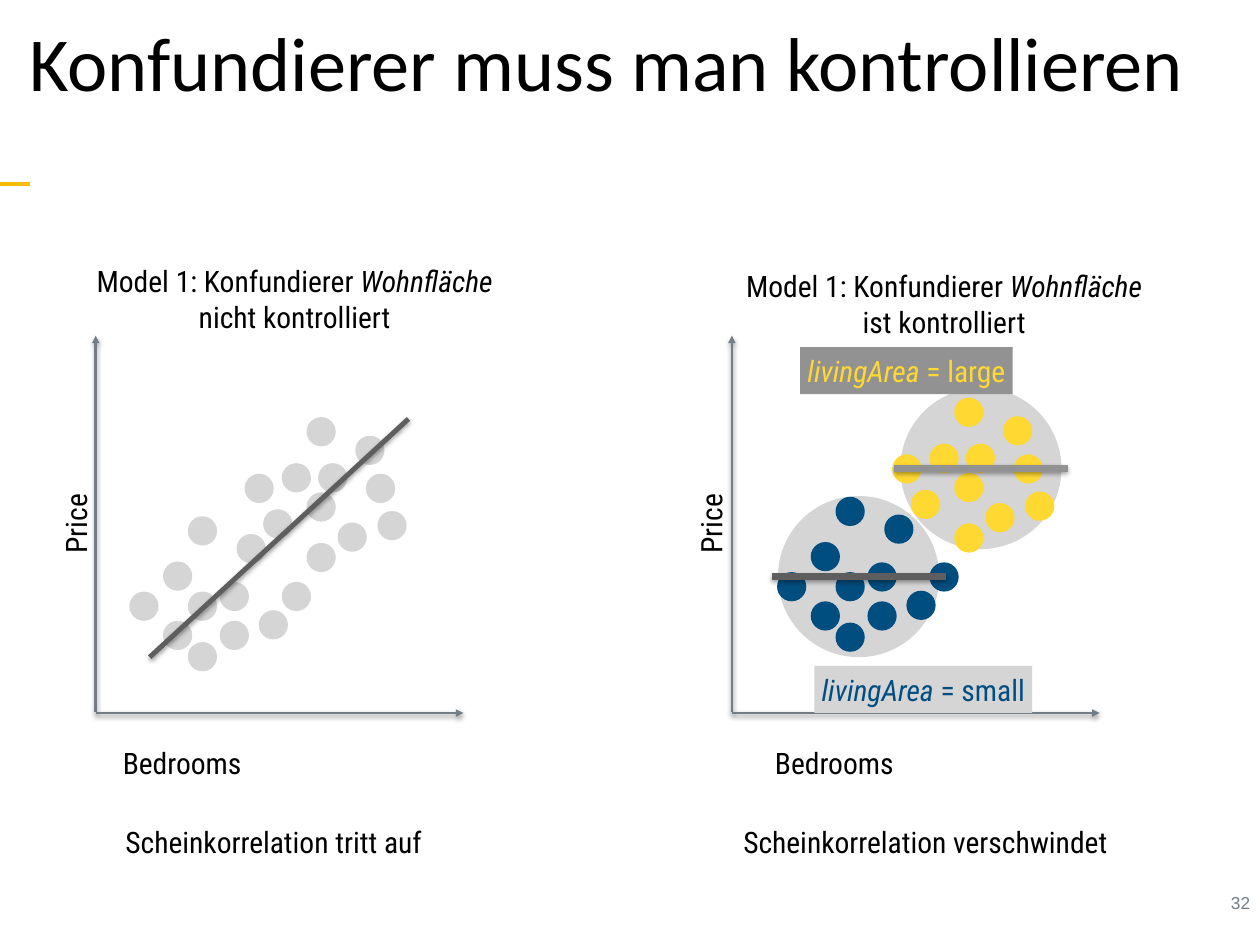
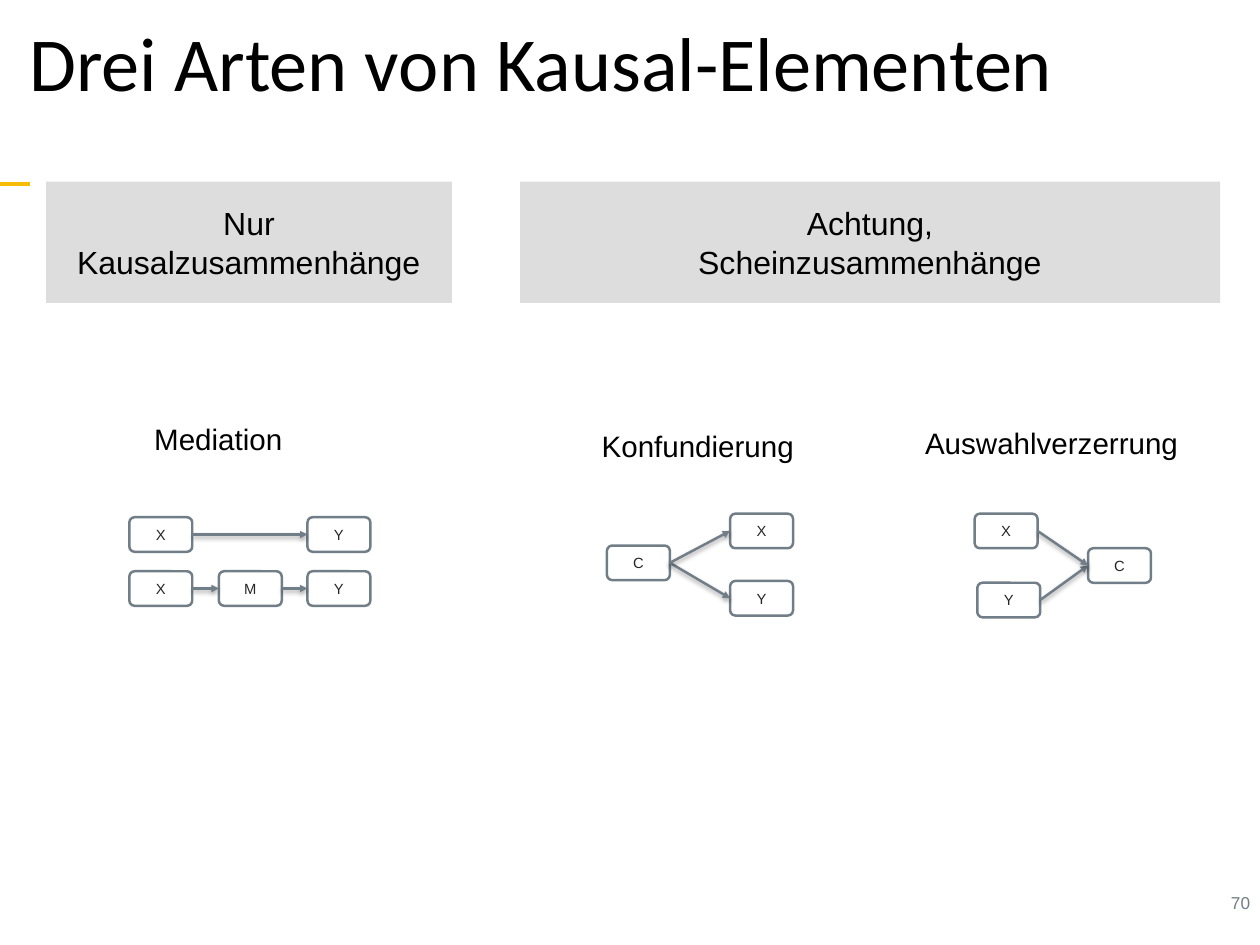
from dataclasses import dataclass
from typing import Any

from lxml.etree import SubElement as Sub
from pptx import Presentation
from pptx.dml.color import RGBColor as Rgb
from pptx.enum.shapes import MSO_CONNECTOR as Conn, MSO_SHAPE as Kind
from pptx.enum.text import MSO_ANCHOR as Anc, MSO_AUTO_SIZE as Fit, PP_ALIGN as Al
from pptx.oxml.ns import qn
from pptx.util import Emu, Pt

SCALE = 9144
LEFT, RIGHT = 1, 3
Box = tuple[int, int, int, int]
Spot = tuple[int, int]
Runs = list[tuple[str, bool]]


@dataclass(frozen=True)
class Theme:
    black: str = "000000"
    white: str = "FFFFFF"
    ink: str = "262626"
    slate: str = "717D87"
    gold: str = "F7BC05"
    band: str = "DDDDDD"
    pale: str = "D5D5D5"
    mid: str = "929292"
    dark: str = "5E5E5E"
    blue: str = "004D80"
    sun: str = "FFD932"
    sans: str = "Arial"
    head: str = "Calibri"
    slim: str = "Roboto Condensed"
    title: int = 62
    large: int = 26
    body: int = 24
    small: int = 14
    node: int = 12
    pad: int = 7


@dataclass(frozen=True)
class Style:
    face: str
    size: int
    color: str
    align: Any = Al.CENTER
    anchor: Any = Anc.TOP
    wrap: bool = False


@dataclass(frozen=True)
class Plot:
    left: int
    model: Spot
    state: str
    rooms: int
    price: int
    note: str
    foot: Box


@dataclass(frozen=True)
class Group:
    tag: str
    box: Box
    color: str
    fill: str
    halo: Box
    trend: Box
    tone: str
    dots: list[Spot]


@dataclass(frozen=True)
class Graph:
    name: str
    at: Box
    nodes: list[tuple[str, int, int]]
    links: list[tuple[int, int]]


T = Theme()
TITLE = Style(T.head, T.title, T.black, Al.LEFT, Anc.MIDDLE, True)
PAGE = Style(T.sans, T.small, T.slate, Al.RIGHT, wrap=True)
LABEL = Style(T.slim, T.body, T.black)
NAME = Style(T.sans, T.body, T.black, Al.LEFT)
BAND = Style(T.sans, T.large, T.black, anchor=Anc.MIDDLE, wrap=True)
NODE = Style(T.sans, T.node, T.ink, anchor=Anc.MIDDLE, wrap=True)

SHIFT = (731, -22)
DOT = 33
LOW = [(184, 701), (212, 725), (184, 634), (248, 657), (248, 701), (318, 657),
       (212, 668), (146, 668), (212, 583), (267, 603), (292, 689)]
HIGH = [(297, 575), (346, 613), (318, 523), (359, 523), (381, 590), (413, 535),
        (346, 556), (276, 535), (346, 471), (401, 492), (426, 577)]
PLOTS = [
    Plot(108, (100, 290), "nicht kontrolliert", 131, 43,
         "Scheinkorrelation tritt auf", (134, 923, 350, 53)),
    Plot(826, (833, 296), "ist kontrolliert", 867, 760,
         "Scheinkorrelation verschwindet", (831, 923, 427, 53)),
]
GROUPS = [
    Group("small", (919, 752, 246, 53), T.blue, T.pale, (878, 560, 182, 182),
          (871, 651, 1068, 651), T.dark, LOW),
    Group("large", (903, 392, 240, 53), T.sun, T.mid, (1016, 438, 182, 182),
          (1009, 529, 1205, 529), T.mid, HIGH),
]
GRAPHS = [
    Graph("Auswahlverzerrung", (1037, 473, 301, 52),
          [("X", 1100, 580), ("C", 1228, 619), ("Y", 1103, 658)], [(2, 1), (0, 1)]),
    Graph("Konfundierung", (672, 476, 232, 52),
          [("X", 824, 580), ("C", 685, 616), ("Y", 824, 656)], [(1, 2), (1, 0)]),
    Graph("Mediation", (167, 468, 160, 52),
          [("X", 146, 584), ("Y", 347, 584), ("X", 146, 645), ("M", 247, 645),
           ("Y", 347, 645)], [(0, 1), (2, 3), (3, 4)]),
]
BANDS = [("Achtung,\nScheinzusammenhänge", (587, 205, 790, 137)),
         ("Nur Kausalzusammenhänge", (52, 205, 458, 137))]


def px(*vals: int) -> list[Emu]:
    return [Emu(val * SCALE) for val in vals]


def put(item: Any, vals: dict[str, Any]) -> None:
    for key, val in vals.items():
        setattr(item, key, val)


def write(shape: Any, runs: Runs, style: Style, pad: int = T.pad) -> Any:
    frame = shape.text_frame
    sides = ("margin_left", "margin_top", "margin_right", "margin_bottom")
    put(frame, dict.fromkeys(sides, px(pad)[0]))
    put(frame, {"word_wrap": style.wrap, "vertical_anchor": style.anchor,
                "auto_size": Fit.NONE if style.wrap else Fit.SHAPE_TO_FIT_TEXT})
    par = frame.paragraphs[0]
    par.alignment = style.align
    for text, slant in runs:
        for num, line in enumerate(text.split("\n")):
            if num:
                par.add_line_break()
            if line:
                run = par.add_run()
                run.text = line
                put(run.font, {"name": style.face, "size": Pt(style.size),
                               "italic": slant})
                run.font.color.rgb = Rgb.from_string(style.color)
    return par


def label(slide: Any, box: Box, runs: Runs, style: Style, turn: int = 0) -> None:
    shape = slide.shapes.add_textbox(*px(*box))
    shape.rotation = turn
    write(shape, runs, style)


def form(slide: Any, kind: Any, box: Box, fill: str, edge: str = "") -> Any:
    shape = slide.shapes.add_shape(kind, *px(*box))
    shape.shadow.inherit = False
    shape.fill.solid()
    shape.fill.fore_color.rgb = Rgb.from_string(fill)
    if edge:
        shape.line.color.rgb = Rgb.from_string(edge)
        shape.line.width = Pt(2)
    else:
        shape.line.fill.background()
    return shape


def rule(slide: Any, ends: Box, color: str, width: int,
         arrow: bool = False, shade: bool = True) -> Any:
    line = slide.shapes.add_connector(Conn.STRAIGHT, *px(*ends))
    line.line.color.rgb = Rgb.from_string(color)
    line.line.width = Pt(width)
    props = line._element.spPr
    if arrow:
        Sub(props.find(qn("a:ln")), qn("a:tailEnd"), type="triangle")
    effect = Sub(props, qn("a:effectLst"))
    if shade:
        drop = Sub(effect, qn("a:outerShdw"), blurRad=str(Pt(4)), dist=str(Pt(2)),
                   dir="5400000", rotWithShape="0")
        tint = Sub(drop, qn("a:srgbClr"), val=T.black)
        Sub(tint, qn("a:alpha"), val="38000")
    return line


def start(deck: Any, title: str, page: str) -> Any:
    slide = deck.slides.add_slide(deck.slide_layouts[6])
    rule(slide, (0, 208, 34, 208), T.gold, 3, shade=False)
    label(slide, (1181, 1000, 237, 36), [(page, False)], PAGE)
    shape = slide.shapes.add_textbox(*px(0, -2, 1423, 155))
    par = write(shape, [(title, False)], TITLE, 5)
    par.line_spacing = 0.9
    inset = str(14 * SCALE)
    for key in ("marL", "indent"):
        par._p.get_or_add_pPr().set(key, inset)
    return slide


def dots(slide: Any, spots: list[Spot], color: str, shift: Spot = (0, 0)) -> None:
    for left, top in spots:
        box = (left + shift[0], top + shift[1], DOT, DOT)
        form(slide, Kind.OVAL, box, color)


def axes(slide: Any, plot: Plot) -> None:
    left = plot.left
    for ends in ((left, 804, left, 379), (left, 805, left + 415, 805)):
        rule(slide, ends, T.slate, 2, True)


def notes(slide: Any, plot: Plot) -> None:
    model = [("Model 1: Konfundierer ", False), ("Wohnfläche\n", True),
             (plot.state, False)]
    label(slide, (*plot.model, 465, 92), model, LABEL)
    label(slide, (plot.rooms, 834, 149, 53), [("Bedrooms", False)], LABEL)
    label(slide, (plot.price, 565, 83, 53), [("Price", False)], LABEL, 270)
    label(slide, plot.foot, [(plot.note, False)], LABEL)


def control(deck: Any) -> None:
    slide = start(deck, "Konfundierer muss man kontrollieren", "32")
    for group in GROUPS:
        form(slide, Kind.OVAL, group.halo, T.pale)
    for plot in PLOTS:
        axes(slide, plot)
    dots(slide, LOW + HIGH, T.pale)
    for group in GROUPS:
        dots(slide, group.dots, group.color, SHIFT)
    for group in GROUPS:
        rule(slide, group.trend, group.tone, 5)
        tag = form(slide, Kind.RECTANGLE, group.box, group.fill)
        write(tag, [("livingArea", True), (f" = {group.tag}", False)],
              Style(T.slim, T.body, group.color))
    rule(slide, (169, 742, 461, 473), T.dark, 4)
    for plot in PLOTS:
        notes(slide, plot)


def draw(slide: Any, graph: Graph) -> None:
    nodes = []
    for text, left, top in graph.nodes:
        node = form(slide, Kind.ROUNDED_RECTANGLE, (left, top, 71, 39),
                    T.white, T.slate)
        node.adjustments[0] = 0.15
        write(node, [(text, False)], NODE)
        nodes.append(node)
    for tail, tip in graph.links:
        line = rule(slide, (0, 0, 0, 0), T.slate, 2, True)
        line.begin_connect(nodes[tail], RIGHT)
        line.end_connect(nodes[tip], LEFT)
    label(slide, graph.at, [(graph.name, False)], NAME)


def kinds(deck: Any) -> None:
    slide = start(deck, "Drei Arten von Kausal-Elementen", "70")
    for graph in GRAPHS:
        draw(slide, graph)
    for text, box in BANDS:
        write(form(slide, Kind.RECTANGLE, box, T.band), [(text, False)], BAND)


def main() -> None:
    deck = Presentation()
    deck.slide_width, deck.slide_height = px(1422, 1067)
    control(deck)
    kinds(deck)
    deck.save("out.pptx")


if __name__ == "__main__":
    main()
